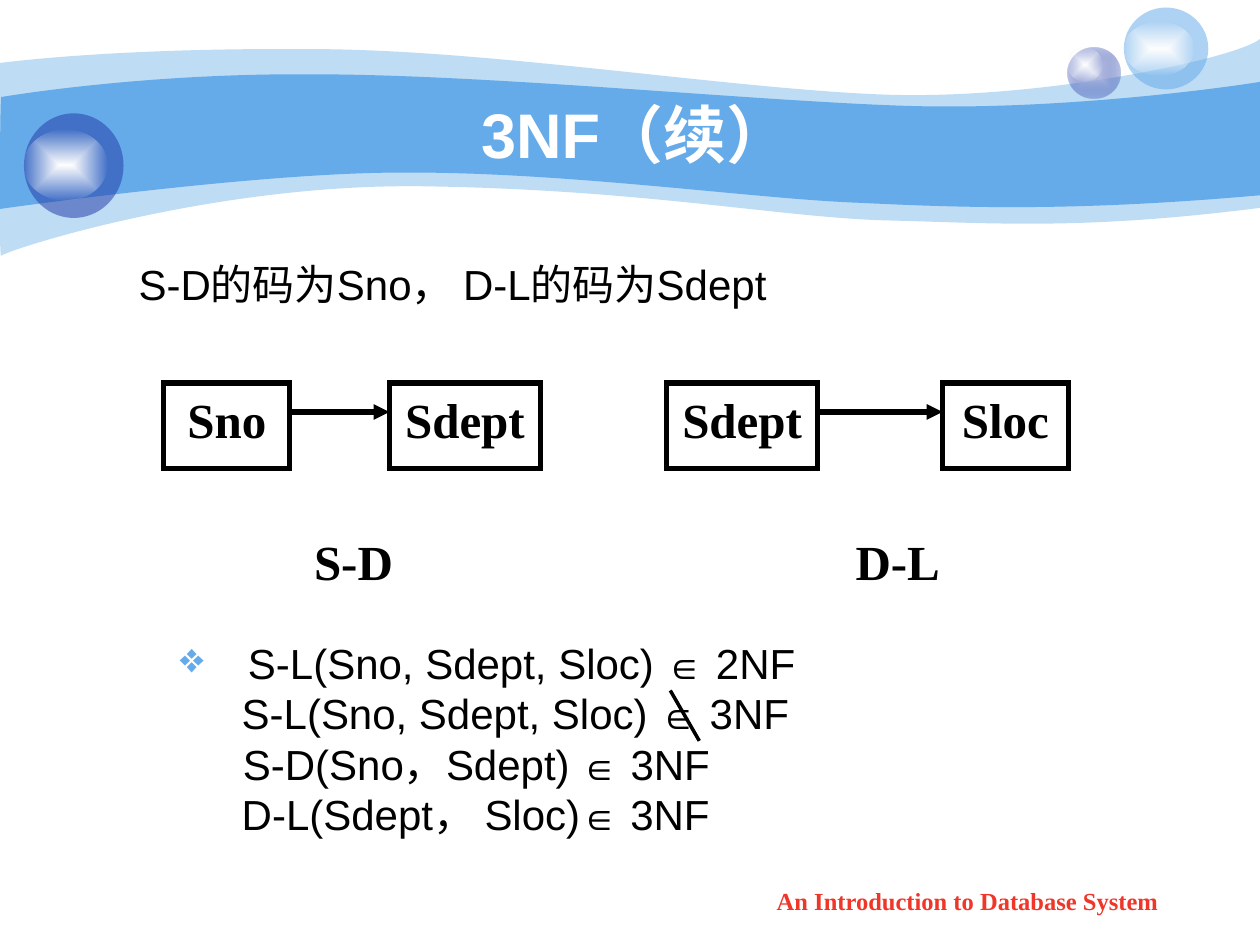
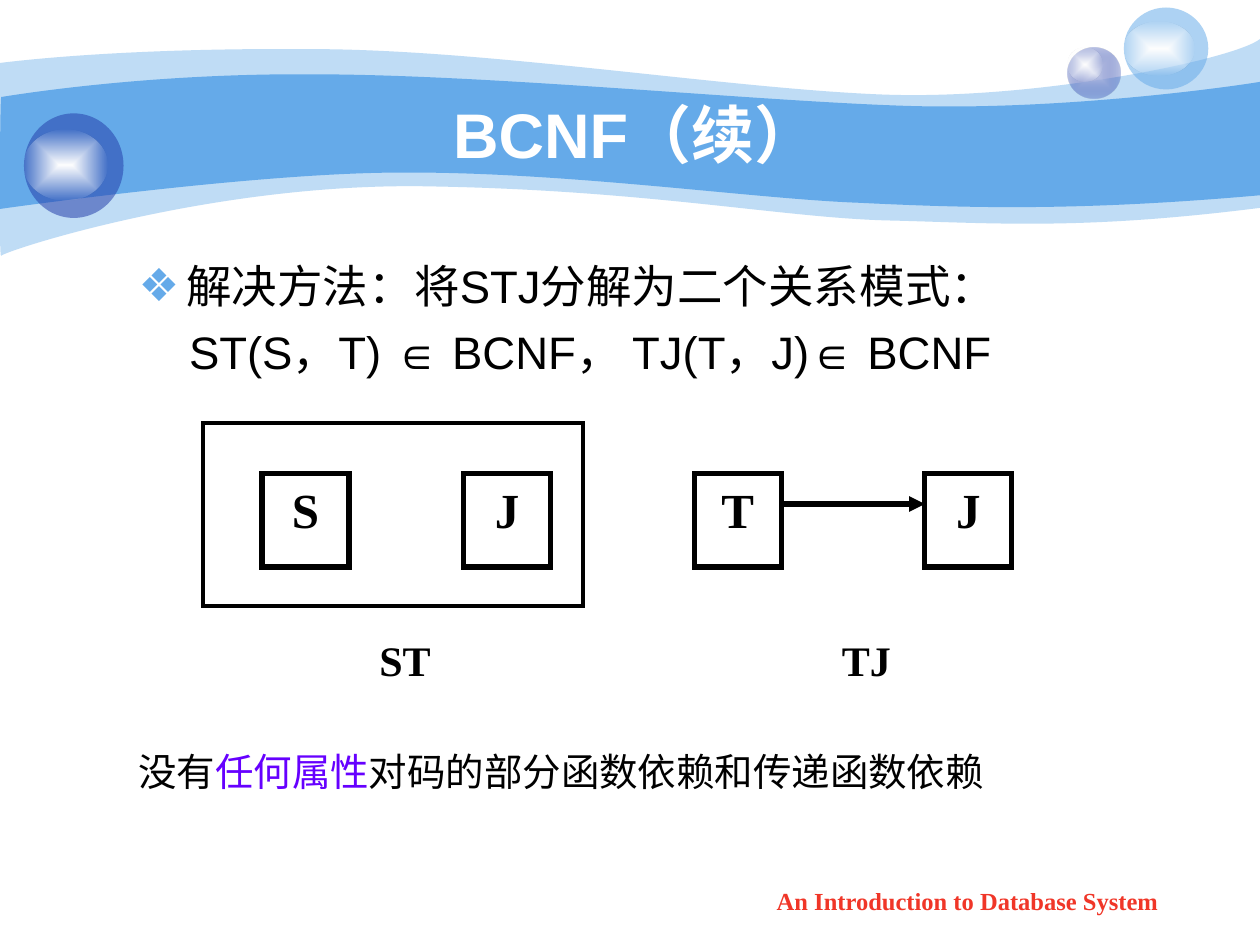
from lxml import etree
from pptx import Presentation
from pptx.dml.color import RGBColor
from pptx.enum import shapes, text
from pptx.oxml.ns import qn
from pptx.util import Inches, Pt

BLUE, NAVY, BLACK, WHITE = "65AAE9", "233DA9", "000000", "FFFFFF"
TITLE = dict(name="Arial", size=36, bold=True, color=WHITE)
BODY = dict(name="Arial", size=24, bold=False, color=BLACK)
LARGE_BODY = {**BODY, "size": 26}
NOTE = {**BODY, "size": 22}
BOX = dict(name="Times New Roman", size=28, bold=True, color=BLACK)
FOOTER = {**BOX, "size": 14, "color": "F03628"}
SYMBOL = dict(size=22)
CENTER, LEFT = text.PP_ALIGN.CENTER, text.PP_ALIGN.LEFT


def paint(shape, colours=(), line=None):
    """Fill with no, one or two (hex, opacity percent) colours; line is a black outline in points."""
    shape.shadow.inherit = False
    properties = shape.element.spPr
    if not colours:
        shape.fill.background()
    elif len(colours) == 1:
        shape.fill.solid()
        shape.fill.fore_color.rgb = RGBColor.from_string(colours[0][0])
    else:
        shape.fill.gradient()
        for stop, (colour, _) in zip(shape.fill.gradient_stops, colours):
            stop.color.rgb = RGBColor.from_string(colour)
        gradient = properties.find(qn("a:gradFill"))
        path = etree.Element(qn("a:path"), {"path": "rect"})
        etree.SubElement(path, qn("a:fillToRect"), dict.fromkeys("ltrb", "50000"))
        gradient.replace(gradient.find(qn("a:lin")), path)
    for node, (_, opacity) in zip(properties.iter(qn("a:srgbClr")), colours):
        if opacity < 100:
            etree.SubElement(node, qn("a:alpha"), {"val": str(opacity * 1000)})
    if line:
        shape.line.color.rgb = RGBColor.from_string(BLACK)
        shape.line.width = Pt(line)
        etree.SubElement(properties.find(qn("a:ln")), qn("a:miter"), {"lim": "800000"})
    else:
        shape.line.fill.background()


def write(frame, font, paragraphs, align=LEFT, anchor=text.MSO_ANCHOR.TOP, gap=0):
    """Write (left margin, has bullet, [(text, font changes)]) paragraphs into a frame."""
    frame_values = dict(word_wrap=True, auto_size=text.MSO_AUTO_SIZE.NONE, vertical_anchor=anchor,
                        margin_left=Inches(0.1), margin_right=Inches(0.1),
                        margin_top=Inches(0.05), margin_bottom=Inches(0.05))
    for name, value in frame_values.items():
        setattr(frame, name, value)
    for index, (margin, bullet, runs) in enumerate(paragraphs):
        paragraph = frame.add_paragraph() if index else frame.paragraphs[0]
        properties = paragraph._p.get_or_add_pPr()
        properties.set("marL", str(Inches(margin)))
        properties.set("indent", str(-Inches(margin) if bullet else 0))
        if bullet:
            colour = etree.SubElement(properties, qn("a:buClr"))
            etree.SubElement(colour, qn("a:srgbClr"), {"val": BLUE})
            etree.SubElement(properties, qn("a:buChar"), {"char": "❖"})
        else:
            etree.SubElement(properties, qn("a:buNone"))
        paragraph.alignment = align
        paragraph.space_before = Pt(gap if index else 0)
        for words, changes in runs:
            run = paragraph.add_run()
            run.text = words
            values = {**font, **changes}
            run.font.color.rgb = RGBColor.from_string(values.pop("color"))
            values["size"] = Pt(values["size"])
            for name, value in values.items():
                setattr(run.font, name, value)
        # The paragraph end sets the size of the bullet
        etree.SubElement(paragraph._p, qn("a:endParaRPr"), {"sz": str(font["size"] * 100)})


presentation = Presentation()
presentation.slide_width, presentation.slide_height = Inches(10), Inches(7.5)
master = presentation.slide_master
slides = [presentation.slides.add_slide(presentation.slide_layouts[1]) for _ in range(2)]

# Waves: a start point, then curves (two control points and an end) or single line ends
waves = [
    ((BLUE, 41), (0, 0.5), [
        [(0.24, 0.47), (1.08, 0.38), (2.47, 0.39)], [(3.86, 0.39), (5.75, 0.7), (6.99, 0.75)],
        [(8.22, 0.8), (9.8, 0.47), (10, 0.31)], [(10, 1.65)],
        [(8.58, 1.83), (7.88, 1.77), (7.05, 1.75)], [(6.22, 1.73), (5.15, 1.51), (3.43, 1.48)],
        [(1.72, 1.44), (0.04, 1.99), (0.01, 2.03)], [(-0.01, 2.08), (0, 0.75), (0, 0.5)]]),
    ((BLUE, 100), (0.01, 0.77), [
        [(0.02, 0.77), (1.1, 0.58), (2.48, 0.59)], [(3.87, 0.59), (5.96, 0.8), (7.18, 0.84)],
        [(8.41, 0.88), (9.76, 0.69), (10, 0.65)], [(10, 1.55)],
        [(8.53, 1.68), (7.65, 1.65), (6.82, 1.61)], [(5.99, 1.58), (4.47, 1.36), (3.17, 1.37)],
        [(2.03, 1.37), (-0.02, 1.66), (-0.01, 1.66)], [(0, 1.66), (0, 0.77), (0.01, 0.77)]]),
]
decorations = []
for colour, start, segments in waves:
    builder = slides[0].shapes.build_freeform(*map(Inches, start))
    builder.add_line_segments([tuple(map(Inches, segment[-1])) for segment in segments])
    wave = builder.convert_to_shape()
    outline = next(wave.element.iter(qn("a:path")))
    for side, segment in zip(outline.findall(qn("a:lnTo")), segments):
        if len(segment) == 3:
            curve = etree.Element(qn("a:cubicBezTo"))
            for x, y in segment:
                etree.SubElement(curve, qn("a:pt"), {"x": str(Inches(x) - wave.left),
                                                     "y": str(Inches(y) - wave.top)})
            outline.replace(side, curve)
    etree.SubElement(outline, qn("a:close"))
    paint(wave, [colour])
    decorations.append(wave)

GLOW = [(WHITE, 100), (WHITE, 0)]
bubbles = [
    ((8.47, 0.38, 0.42, 0.4), [("C7CEE9", 100), (NAVY, 31)]),
    ((8.47, 0.38, 0.28, 0.27), GLOW),
    ((8.92, 0.06, 0.67, 0.65), [(BLUE, 53)]),
    ((8.92, 0.17, 0.56, 0.43), GLOW),
    ((0.19, 0.9, 0.79, 0.83), [(NAVY, 53)]),
    ((0.19, 1.03, 0.66, 0.56), GLOW),
]
for place, colours in bubbles:
    bubble = slides[0].shapes.add_shape(shapes.MSO_SHAPE.OVAL, *map(Inches, place))
    paint(bubble, colours)
    decorations.append(bubble)

# The decorations belong to the master, behind its placeholders
for index, shape in enumerate(decorations):
    shape.element.nvSpPr.cNvPr.set("id", str(20 + index))
    master.shapes.element.insert(2 + index, shape.element)

contents = [
    dict(
        title="3NF（续）",
        body=((0.5, 2, 9, 0.7), BODY, [(0.5, False, [("S-D的码为Sno， D-L的码为Sdept", {})])]),
        boxes=[("Sno", (1.3, 3.04, 1, 0.68), 3), ("Sdept", (3.09, 3.04, 1.2, 0.68), 3),
               ("Sdept", (5.29, 3.04, 1.2, 0.68), 3), ("Sloc", (7.48, 3.04, 1, 0.68), 3)],
        labels=[("S-D", (2.3, 4.17, 1.01, 0.68)), ("D-L", (6.68, 4.17, 0.89, 0.68))],
        label_font=BOX,
        lines=[((2.3, 3.27, 3.09, 3.27), 3, True), ((6.49, 3.27, 7.48, 3.27), 3, True),
               ((5.32, 5.48, 5.55, 5.88), 2, False)],
        notes=((1.33, 5.01, 5.4, 1.7), BODY, [
            (0.54, True, [("S-L(Sno, Sdept, Sloc) ", {}), ("∈", SYMBOL), (" 2NF", {})]),
            (0.49, False, [("S-L(Sno, Sdept, Sloc) ", {}), ("∈", SYMBOL), (" 3NF", {})]),
            (0.5, False, [("S-D(Sno，Sdept)", {}), (" ∈", SYMBOL), (" 3NF", {})]),
            (0.49, False, [("D-L(Sdept， Sloc)", {}), ("∈", SYMBOL), (" 3NF", {})])]),
    ),
    dict(
        title="BCNF（续）",
        body=((1, 2, 8.5, 1.3), LARGE_BODY, [
            (0.38, True, [("解决方法：将STJ分解为二个关系模式：", {})]),
            (0.4, False, [("ST(S，T) ∈ BCNF， TJ(T，J)∈ BCNF", {})])]),
        boxes=[("S", (2.08, 3.76, 0.69, 0.74), 3), ("J", (3.68, 3.76, 0.69, 0.74), 3),
               ("T", (5.51, 3.76, 0.69, 0.74), 3), ("J", (7.34, 3.76, 0.69, 0.74), 3),
               ("", (1.61, 3.36, 3.02, 1.45), 2.25)],
        labels=[("ST", (2.76, 4.99, 0.91, 0.74)), ("TJ", (6.42, 4.99, 0.91, 0.74))],
        label_font={**BOX, "size": 24},
        lines=[((6.19, 4, 7.34, 4), 3, True)],
        notes=((1, 5.89, 8.5, 0.5), NOTE, [
            (0, False, [("没有", {}), ("任何属性", dict(color="6600FF")),
                        ("对码的部分函数依赖和传递函数依赖", {})])]),
    ),
]

for slide, content in zip(slides, contents):
    title, body = slide.shapes.title, slide.placeholders[1]
    body_place, body_font, body_paragraphs = content["body"]
    for placeholder, place in ((title, (1, 0.75, 8.08, 0.62)), (body, body_place)):
        for name, value in zip(("left", "top", "width", "height"), place):
            setattr(placeholder, name, Inches(value))
    write(title.text_frame, TITLE, [(0, False, [(content["title"], {})])], CENTER,
          text.MSO_ANCHOR.MIDDLE)
    write(body.text_frame, body_font, body_paragraphs, gap=6.5)

    for words, place, width in content["boxes"]:
        box = slide.shapes.add_shape(shapes.MSO_SHAPE.RECTANGLE, *map(Inches, place))
        paint(box, line=width)
        if words:
            write(box.text_frame, BOX, [(0, False, [(words, {})])], CENTER)

    captions = [(words, place, content["label_font"]) for words, place in content["labels"]]
    captions.append(("An Introduction to Database System", (5.71, 6.98, 3.94, 0.35), FOOTER))
    for words, place, font in captions:
        caption = slide.shapes.add_textbox(*map(Inches, place))
        write(caption.text_frame, font, [(0, False, [(words, {})])], CENTER)

    place, font, paragraphs = content["notes"]
    write(slide.shapes.add_textbox(*map(Inches, place)).text_frame, font, paragraphs)

    for ends, width, arrow in content["lines"]:
        line = slide.shapes.add_connector(shapes.MSO_CONNECTOR.STRAIGHT, *map(Inches, ends))
        line.line.color.rgb = RGBColor.from_string(BLACK)
        line.line.width = Pt(width)
        if arrow:
            etree.SubElement(line.element.spPr.find(qn("a:ln")), qn("a:tailEnd"),
                             {"type": "triangle"})
        etree.SubElement(line.element.spPr, qn("a:effectLst"))

presentation.save("out.pptx")
